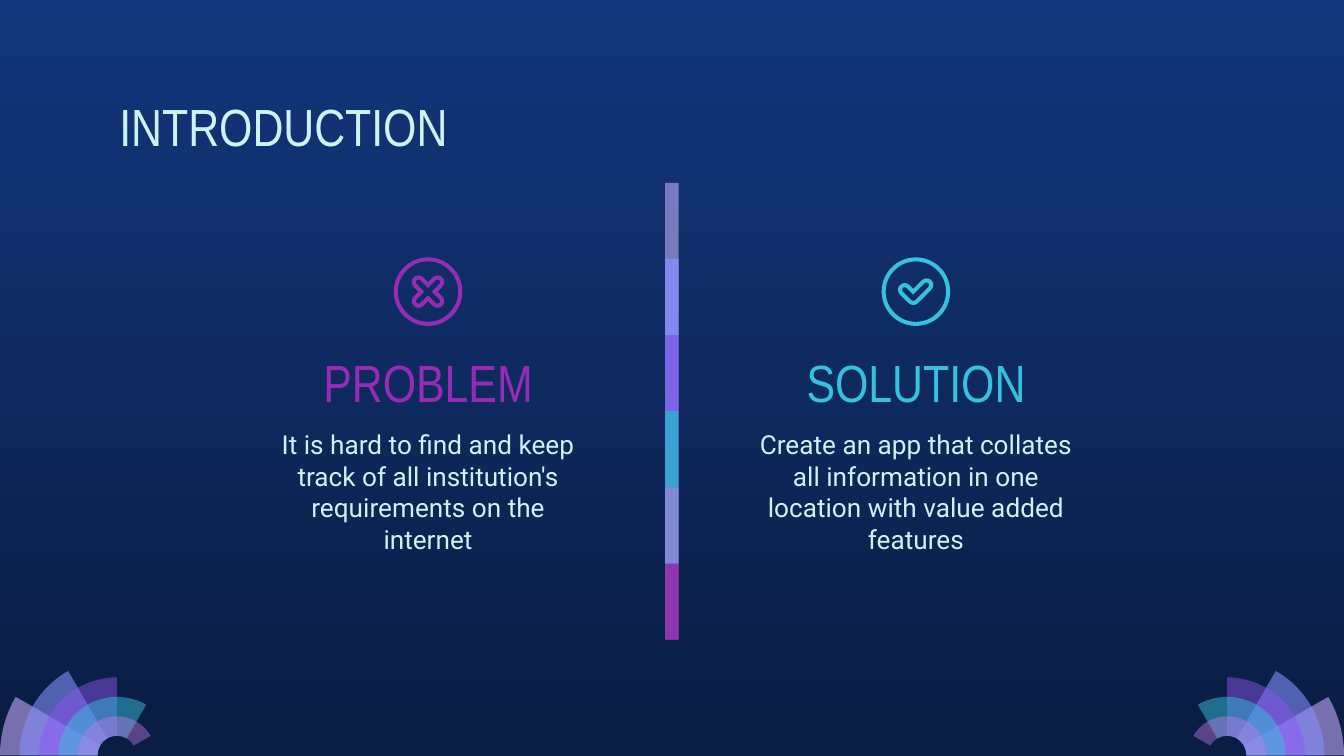
import math
from dataclasses import dataclass

from lxml import etree
from pptx import Presentation
from pptx import util as u
from pptx.dml import color
from pptx.enum import shapes, text
from pptx.oxml import ns


@dataclass(frozen=True)
class Theme:
    night_top: str = "13367C"
    night_bottom: str = "0A1D42"
    pale: str = "CEF3F5"
    cyan: str = "35C2DF"
    plum: str = "972CB4"
    # (colour, opacity %) from outer to inner petal, and from top to bottom band
    petals: tuple = (("C8ACFD", 58), ("878FFF", 58), ("9154F8", 46),
                     ("35C2DF", 49), ("CA7BEB", 42))
    bands: tuple = (("C8AEF8", 59), ("878FFF", 74), ("9154F8", 53),
                    ("35C2DF", 76), ("CA7BEB", 56), ("972CB4", 74))
    heading: tuple = ("Arial Narrow", 28)
    body: tuple = ("Roboto", 14)


THEME = Theme()
CROSS = [(45, 0.1), (135, 0.1), (225, 0.1), (315, 0.1)]
CHECK = [(225, 0.09), (315, 0.14)]


def rgb(value):
    return color.RGBColor.from_string(value)


def paint(sp, fill, opacity=100):
    sp.shadow.inherit = False
    sp.line.fill.background()
    sp.fill.solid()
    sp.fill.fore_color.rgb = rgb(fill)
    if opacity < 100:
        clr = sp.element.spPr.find(".//" + ns.qn("a:srgbClr"))
        etree.SubElement(clr, ns.qn("a:alpha"), val=str(opacity * 1000))


def polar(cx, cy, r, angle):
    a = math.radians(angle)
    return cx + r * math.cos(a), cy + r * math.sin(a)


def arc(cx, cy, r, start, end):
    """Segments: one point, then curves cut at each quarter; clockwise degrees."""
    low, high = sorted((start, end))
    quarters = [q for q in range(-720, 1081, 90) if low < q < high]
    cuts = sorted([start, *quarters, end], reverse=end < start)
    segments = [[polar(cx, cy, r, start)]]
    for a, b in zip(cuts, cuts[1:]):
        k = 4 / 3 * math.tan(math.radians(b - a) / 4)
        (x1, y1), (x2, y2) = polar(cx, cy, r, a), polar(cx, cy, r, b)
        segments.append([(x1 - k * (y1 - cy), y1 + k * (x1 - cx)),
                         (x2 + k * (y2 - cy), y2 - k * (x2 - cx)), (x2, y2)])
    return segments


def add_outline(s, contours, fill, opacity=100):
    contours = [[[(u.Inches(x), u.Inches(y)) for x, y in seg] for seg in c]
                for c in contours]
    builder = s.shapes.build_freeform(*contours[0][0][0], scale=1.0)
    for i, segments in enumerate(contours):
        if i:
            builder.move_to(*segments[0][0])
        builder.add_line_segments([seg[-1] for seg in segments[1:]], close=True)
    sp = builder.convert_to_shape()
    # Turn the sides that have control points into curves
    sides = list(sp.element.spPr.iter(ns.qn("a:lnTo")))
    for side, seg in zip(sides, [seg for c in contours for seg in c[1:]]):
        if len(seg) == 3:
            curve = etree.Element(ns.qn("a:cubicBezTo"))
            for x, y in seg:
                etree.SubElement(curve, ns.qn("a:pt"), x=str(x - sp.left), y=str(y - sp.top))
            side.getparent().replace(side, curve)
    paint(sp, fill, opacity)


def add_label(s, box, words, font, fill, align):
    tf = s.shapes.add_textbox(*map(u.Inches, box)).text_frame
    frame = dict(word_wrap=True, vertical_anchor=text.MSO_ANCHOR.TOP)
    frame.update({f"margin_{side}": u.Inches(0.1)
                  for side in ("left", "right", "top", "bottom")})
    for name, value in frame.items():
        setattr(tf, name, value)
    p = tf.paragraphs[0]
    p.alignment = align
    r = p.add_run()
    r.text = words
    for name, value in dict(name=font[0], size=u.Pt(font[1])).items():
        setattr(r.font, name, value)
    r.font.color.rgb = rgb(fill)


def add_background(s):
    fill = s.background.fill
    fill.gradient()
    fill.gradient_angle = 270
    for stop, value in zip(fill.gradient_stops, (THEME.night_top, THEME.night_bottom)):
        stop.color.rgb = rgb(value)


def add_fan(s, cx, cy, radius, side):
    """Nested ring sectors, each a step smaller and 30 degrees wider."""
    step = radius / 6
    for i, (fill, opacity) in enumerate(THEME.petals):
        sweep = 180 + 30 * (i + 1)
        petal = arc(0, 0, radius - i * step, 180, sweep) + arc(0, 0, step, sweep, 180)
        placed = [[(cx + side * x, cy + y) for x, y in seg] for seg in petal]
        add_outline(s, [placed], fill, opacity)


def add_divider(s, left, top, width, height):
    """Bands two steps tall, so each one lies over half of the one before."""
    step = height / len(THEME.bands)
    for i, (fill, opacity) in enumerate(THEME.bands):
        tall = min(2 * step, height - i * step)
        box = (left, top + i * step, width, tall)
        paint(s.shapes.add_shape(shapes.MSO_SHAPE.RECTANGLE, *map(u.Inches, box)),
              fill, opacity)


def rounded_arms(cx, cy, arms, r):
    """Outline of round-ended arms that meet at one point."""
    segments = []
    for i, (angle, length) in enumerate(arms):
        segments += arc(*polar(cx, cy, length, angle), r, angle - 90, angle + 90)
        gap = (arms[(i + 1) % len(arms)][0] - angle) % 360
        if gap < 180:
            inset = r / math.sin(math.radians(gap / 2))
            segments.append([polar(cx, cy, inset, angle + gap / 2)])
        else:
            segments += arc(cx, cy, r, angle + 90, angle + gap - 90)
    return segments


def add_icon(s, cx, cy, size, arms, shift, fill):
    outer = size / 2
    add_outline(s, [arc(cx, cy, r, 0, 360) for r in (outer, outer - 0.03)], fill)
    dx, dy = shift
    add_outline(s, [rounded_arms(cx + dx, cy + dy, arms, r) for r in (0.05, 0.02)], fill)


def add_column(s, left, top, width, title, words, arms, shift, fill):
    """Icon, heading and text stacked on one centre line."""
    center = text.PP_ALIGN.CENTER
    add_icon(s, left + width / 2, top + 0.25, 0.51, arms, shift, fill)
    add_label(s, (left + 0.12, top + 0.59, width - 0.24, 0.63), title,
              THEME.heading, fill, center)
    add_label(s, (left, top + 1.17, width, 1.12), words, THEME.body, THEME.pale, center)


def main():
    prs = Presentation()
    prs.slide_width, prs.slide_height = u.Inches(10), u.Inches(5.625)
    s = prs.slides.add_slide(prs.slide_layouts[6])

    # Backdrop
    add_background(s)
    add_fan(s, 0.87, 5.62, 0.87, 1)
    add_fan(s, 9.13, 5.62, 0.87, -1)
    add_divider(s, 4.95, 1.36, 0.1, 3.4)

    # Title and the two columns
    add_label(s, (0.79, 0.6, 8.43, 0.63), "INTRODUCTION", THEME.heading,
              THEME.pale, text.PP_ALIGN.LEFT)
    add_column(s, 1.89, 1.92, 2.59, "PROBLEM",
               "It is hard to find and keep track of all institution's "
               "requirements on the internet", CROSS, (0, 0), THEME.plum)
    add_column(s, 5.52, 1.92, 2.59, "SOLUTION",
               "Create an app that collates all information in one location "
               "with value added features", CHECK, (-0.02, 0.05), THEME.cyan)

    prs.save("out.pptx")


if __name__ == "__main__":
    main()
